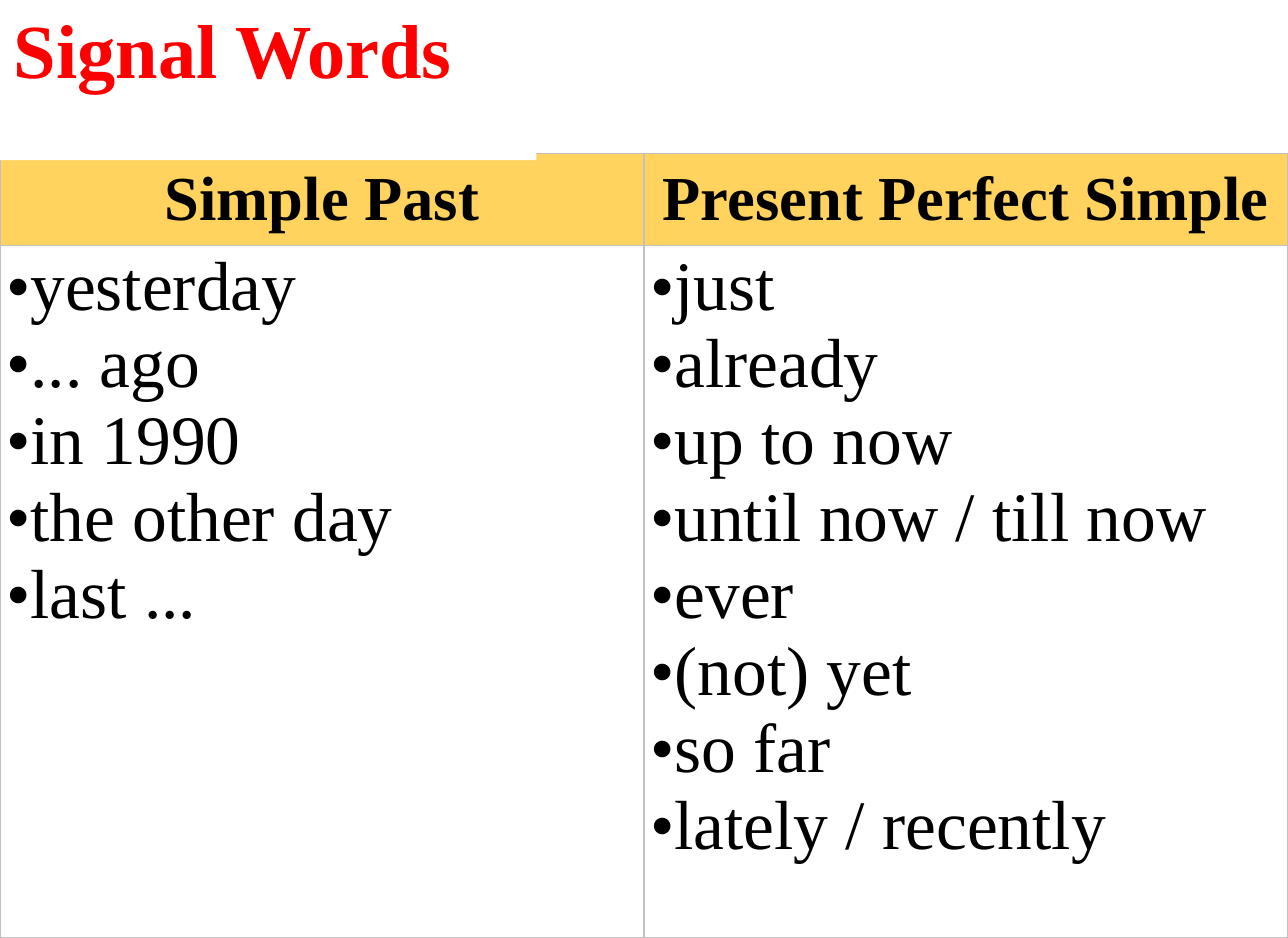
import pptx
import pptx.util
import pptx.dml.color
import pptx.enum.shapes
import pptx.enum.text
import lxml.etree

Inch = pptx.util.Inches
Pt = pptx.util.Pt
RGB = pptx.dml.color.RGBColor
ALIGN = pptx.enum.text.PP_ALIGN
ANCHOR = pptx.enum.text.MSO_ANCHOR
NS = "{http://schemas.openxmlformats.org/drawingml/2006/main}"

FONT = "Times New Roman"
RED = RGB(0xFF, 0x00, 0x00)
BLACK = RGB(0x00, 0x00, 0x00)
WHITE = RGB(0xFF, 0xFF, 0xFF)
GOLD = RGB(0xFF, 0xD3, 0x5D)
GREY = RGB(0xC0, 0xC0, 0xC0)

WIDE, HIGH = 10.3, 7.5
TOP, HEAD = 1.23, 0.73

TENSES = {
    "Simple Past": ["yesterday", "... ago", "in 1990", "the other day", "last ..."],
    "Present Perfect Simple": [
        "just", "already", "up to now", "until now / till now",
        "ever", "(not) yet", "so far", "lately / recently",
    ],
}


def add_text(para, text, size, color, bold):
    run = para.add_run()
    run.text = text
    run.font.name = FONT
    run.font.size = Pt(size)
    run.font.bold = bold
    run.font.color.rgb = color


def style_cell(cell, color, pad):
    cell.fill.solid()
    cell.fill.fore_color.rgb = color
    cell.margin_left = cell.margin_right = Inch(0.05)
    cell.margin_top = cell.margin_bottom = Inch(pad)
    props = cell._tc.get_or_add_tcPr()
    for spot, side in enumerate(["lnL", "lnR", "lnT", "lnB"]):
        line = lxml.etree.Element(NS + side, w=str(Pt(0.75)))
        fill = lxml.etree.SubElement(line, NS + "solidFill")
        lxml.etree.SubElement(fill, NS + "srgbClr", val=str(GREY))
        props.insert(spot, line)


deck = pptx.Presentation()
deck.slide_width = Inch(WIDE)
deck.slide_height = Inch(HIGH)
slide = deck.slides.add_slide(deck.slide_layouts[6])

table = slide.shapes.add_table(
    2, len(TENSES), 0, Inch(TOP), Inch(WIDE), Inch(HIGH - TOP)
).table
table.rows[0].height = Inch(HEAD)
table.rows[1].height = Inch(HIGH - TOP - HEAD)

for col, (tense, words) in enumerate(TENSES.items()):
    table.columns[col].width = Inch(WIDE / len(TENSES))

    cell = table.cell(0, col)
    style_cell(cell, GOLD, 0.02)
    cell.vertical_anchor = ANCHOR.MIDDLE
    para = cell.text_frame.paragraphs[0]
    para.alignment = ALIGN.CENTER
    add_text(para, tense, 36, BLACK, True)

    cell = table.cell(1, col)
    style_cell(cell, WHITE, 0.03)
    frame = cell.text_frame
    for row, word in enumerate(words):
        para = frame.add_paragraph() if row else frame.paragraphs[0]
        props = para._p.get_or_add_pPr()
        props.set("marL", "0")
        props.set("indent", "0")
        lxml.etree.SubElement(props, NS + "buFont", typeface=FONT)
        lxml.etree.SubElement(props, NS + "buChar", char="•")
        add_text(para, word, 40, BLACK, False)

title = slide.shapes.add_shape(
    pptx.enum.shapes.MSO_SHAPE.RECTANGLE, 0, 0, Inch(4.29), Inch(1.28)
)
title.shadow.inherit = False
title.fill.solid()
title.fill.fore_color.rgb = WHITE
title.line.fill.background()
frame = title.text_frame
frame.word_wrap = True
frame.vertical_anchor = ANCHOR.TOP
frame.margin_left = Inch(0.11)
frame.margin_top = Inch(0.02)
frame.margin_right = Inch(0.02)
frame.margin_bottom = 0
para = frame.paragraphs[0]
para.alignment = ALIGN.LEFT
add_text(para, "Signal Words", 44, RED, True)

deck.save("out.pptx")
